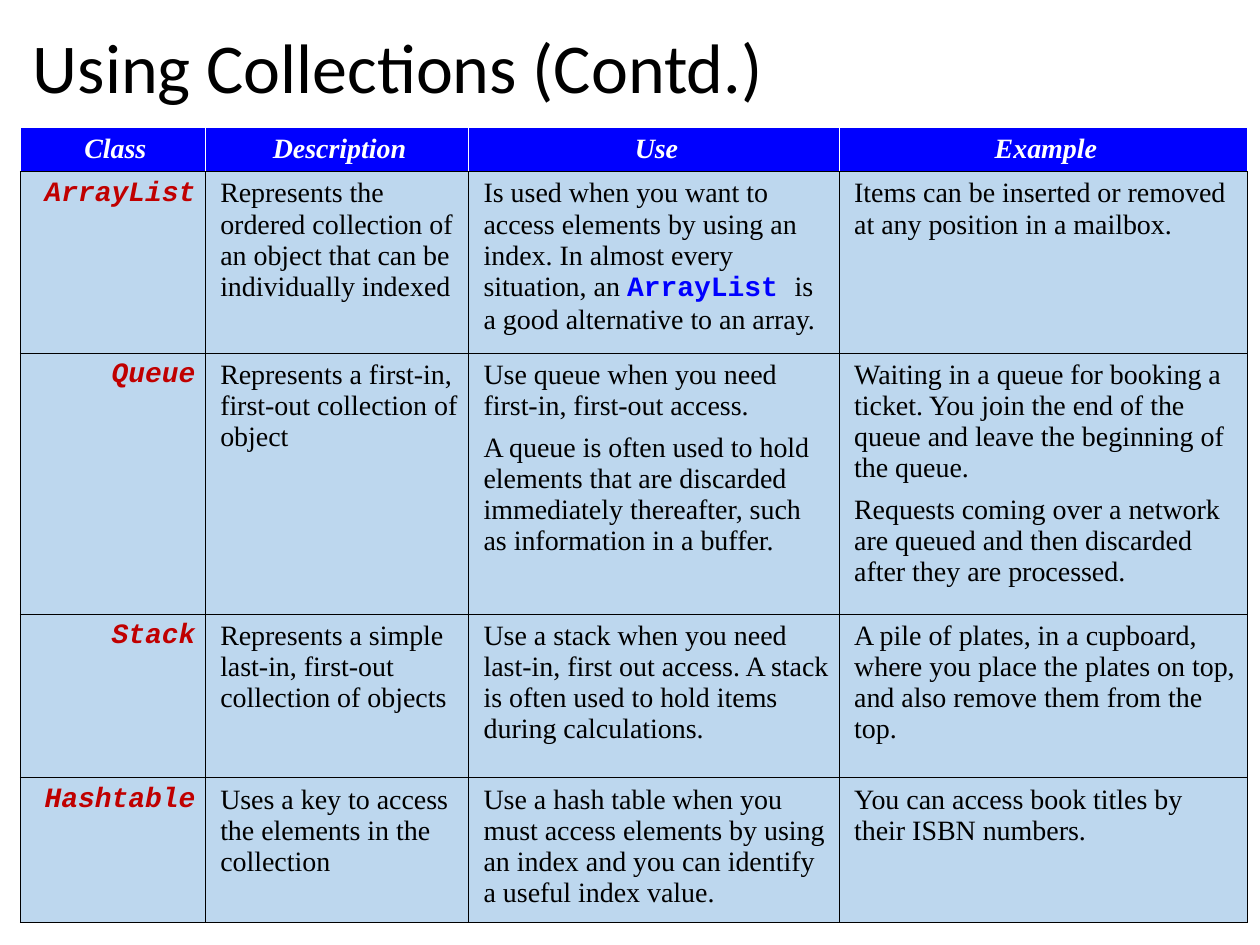
from lxml.etree import SubElement as Sub
from pptx import Presentation
from pptx.dml.color import RGBColor
from pptx.enum.text import MSO_ANCHOR as Anchor, PP_ALIGN as Align
from pptx.oxml.ns import qn
from pptx.util import Cm, Pt

BLACK = RGBColor(0, 0, 0)
WHITE = RGBColor(255, 255, 255)
BLUE = RGBColor(0, 0, 255)
RED = RGBColor(192, 0, 0)
PALE = RGBColor(0xBD, 0xD7, 0xEE)
SERIF = "Times New Roman"
MONO = "Courier New"

COLS = [3.73, 5.31, 7.47, 8.23]
ROWS = [0.74, 3.66, 5.26, 3.3, 2.92]
HEADS = ["Class", "Description", "Use", "Example"]
ITEMS = [
    ["ArrayList",
     "Represents the ordered collection of an object that can be individually indexed",
     "Is used when you want to access elements by using an index. In almost every "
     "situation, an `ArrayList `is a good alternative to an array.",
     "Items can be inserted or removed at any position in a mailbox."],
    ["Queue",
     "Represents a first-in, first-out collection of object",
     ["Use queue when you need first-in, first-out access.",
      "A queue is often used to hold elements that are discarded immediately "
      "thereafter, such as information in a buffer."],
     ["Waiting in a queue for booking a ticket. You join the end of the queue and "
      "leave the beginning of the queue.",
      "Requests coming over a network are queued and then discarded after they are "
      "processed."]],
    ["Stack",
     "Represents a simple\nlast-in, first-out collection of objects",
     "Use a stack when you need last-in, first out access. A stack is often used to "
     "hold items during calculations.",
     "A pile of plates, in a cupboard, where you place the plates on top, and also "
     "remove them from the top."],
    ["Hashtable",
     "Uses a key to access the elements in the collection",
     "Use a hash table when you must access elements by using an index and you can "
     "identify a useful index value.",
     "You can access book titles by their ISBN numbers."],
]


def style(font, name, size, color, bold, slant):
    """Set the look of a font."""
    font.name, font.size, font.bold, font.italic = name, Pt(size), bold, slant
    font.color.rgb = color


def write(frame, text, font=SERIF, size=16, color=BLACK, bold=False, slant=False,
          align=Align.LEFT, indent=0, lead=None):
    """Fill a frame with paragraphs; backticks mark code, newlines break lines."""
    paras = [text] if isinstance(text, str) else text
    for num, para in enumerate(paras):
        par = frame.add_paragraph() if num else frame.paragraphs[0]
        par.alignment = align
        if lead:
            par.line_spacing = lead
        if num:
            par.space_before = Pt(6)
        if indent:
            par._p.get_or_add_pPr().set("marL", str(Cm(indent)))
        for part, chunk in enumerate(para.split("`")):
            for row, line in enumerate(chunk.split("\n")):
                if row:
                    par.add_line_break()
                run = par.add_run()
                run.text = line
                if part % 2:
                    style(run.font, MONO, size, BLUE, True, False)
                else:
                    style(run.font, font, size, color, bold, slant)


def border(cell, **sides):
    """Draw thin cell borders in the colour given for each side."""
    props = cell._tc.get_or_add_tcPr()
    for side in "LRTB":
        line = Sub(props, qn("a:ln" + side), w=str(Pt(0.45)))
        fill = Sub(line, qn("a:solidFill"))
        Sub(fill, qn("a:srgbClr"), val=str(sides[side]))


def add_cell(cell, text, fill, edge, **form):
    """Format and fill one table cell."""
    cell.margin_left = cell.margin_right = Cm(0.2)
    cell.margin_top = cell.margin_bottom = Cm(0.13)
    border(cell, L=edge, R=edge, T=edge, B=BLACK)
    cell.fill.solid()
    cell.fill.fore_color.rgb = fill
    write(cell.text_frame, text, indent=0.1, **form)


def add_title(slide, text):
    """Place and fill the title."""
    title = slide.shapes.title
    title.left, title.top, title.width, title.height = (
        Cm(0.41), Cm(0.28), Cm(24.74), Cm(2.29))
    title.text_frame.vertical_anchor = Anchor.MIDDLE
    write(title.text_frame, text, font="Calibri", size=40, lead=0.9)


def add_grid(slide):
    """Build the table of collection classes."""
    grid = slide.shapes.add_table(
        len(ROWS), len(COLS), Cm(0.41), Cm(2.57), Cm(sum(COLS)), Cm(sum(ROWS))).table
    grid.first_row = grid.horz_banding = False
    for col, width in zip(grid.columns, COLS):
        col.width = Cm(width)
    for row, height in zip(grid.rows, ROWS):
        row.height = Cm(height)
    for col, head in enumerate(HEADS):
        add_cell(grid.cell(0, col), head, BLUE, WHITE, color=WHITE, bold=True,
                 slant=True, align=Align.CENTER)
    key = dict(font=MONO, color=RED, bold=True, slant=True, align=Align.RIGHT)
    for row, item in enumerate(ITEMS, 1):
        for col, text in enumerate(item):
            add_cell(grid.cell(row, col), text, PALE, BLACK, **({} if col else key))


def main():
    """Build and save the slide."""
    deck = Presentation()
    deck.slide_width, deck.slide_height = Cm(25.4), Cm(19.05)
    slide = deck.slides.add_slide(deck.slide_layouts[5])
    add_title(slide, "Using Collections (Contd.)")
    add_grid(slide)
    deck.save("out.pptx")


if __name__ == "__main__":
    main()
